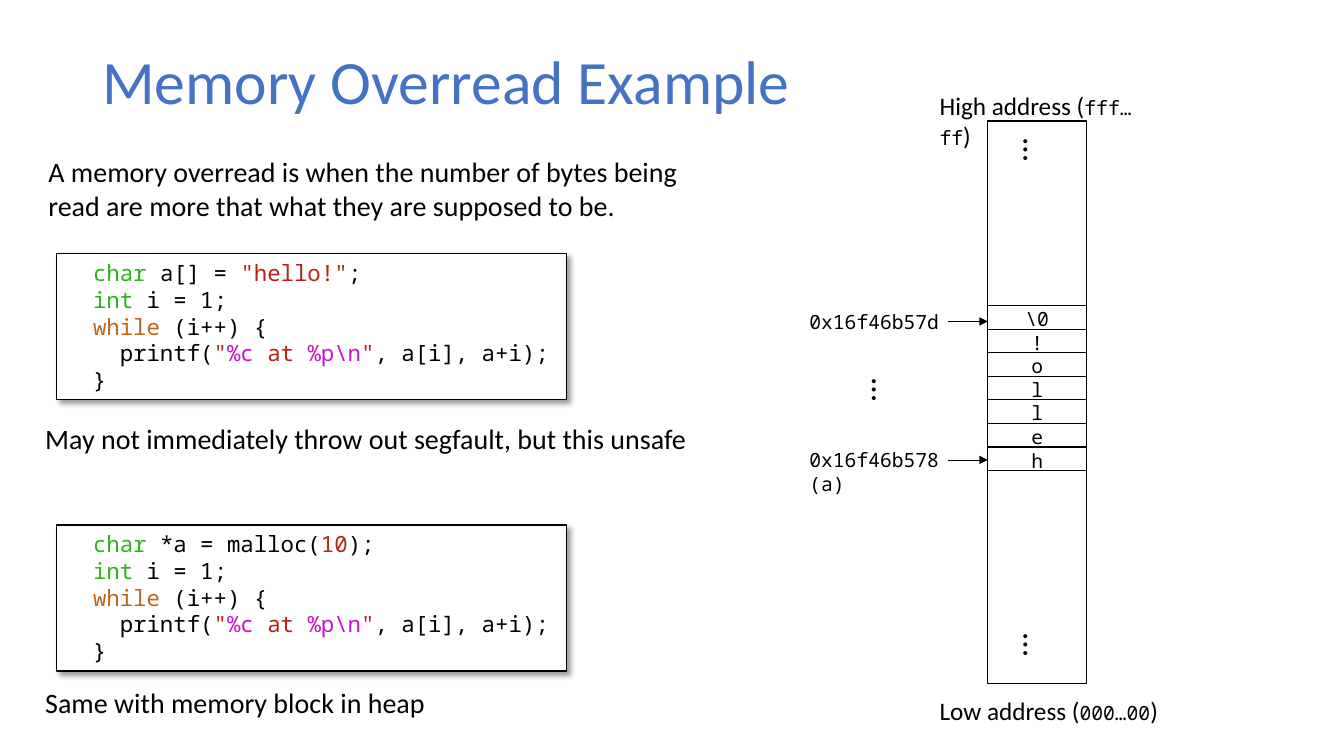
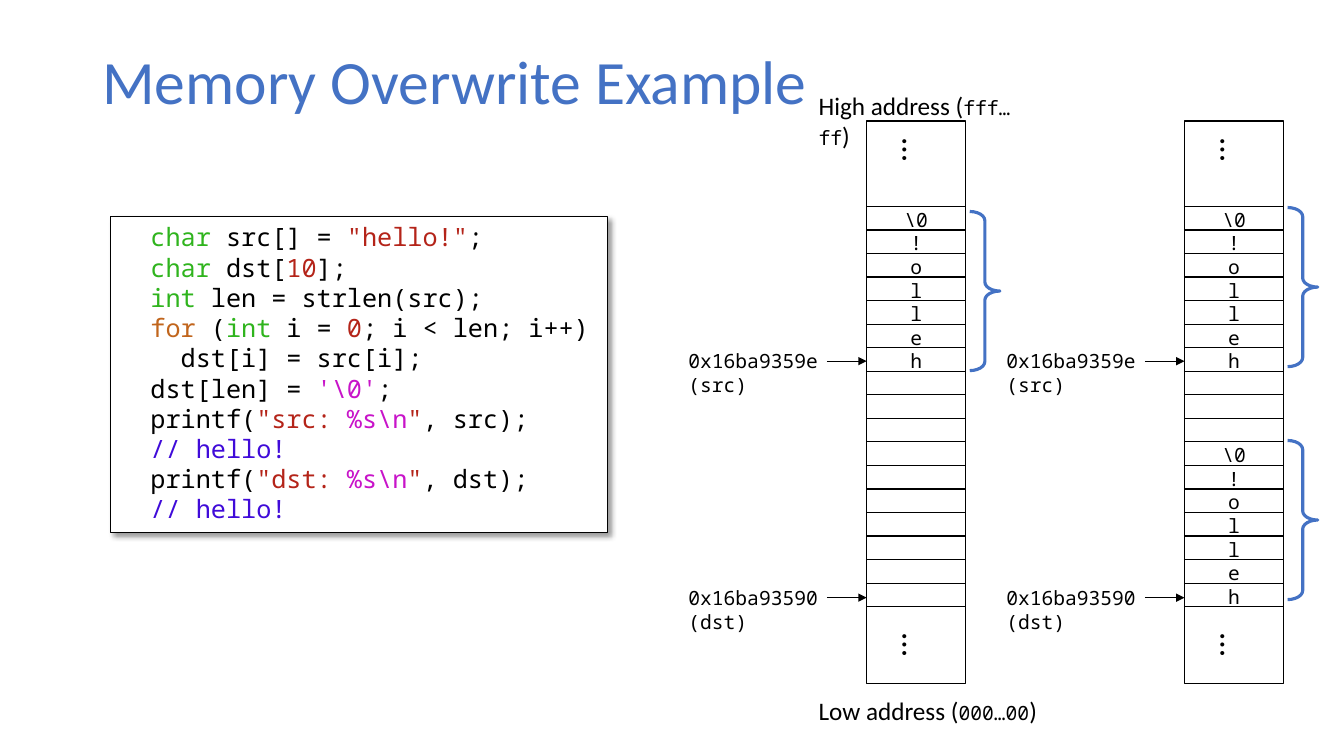
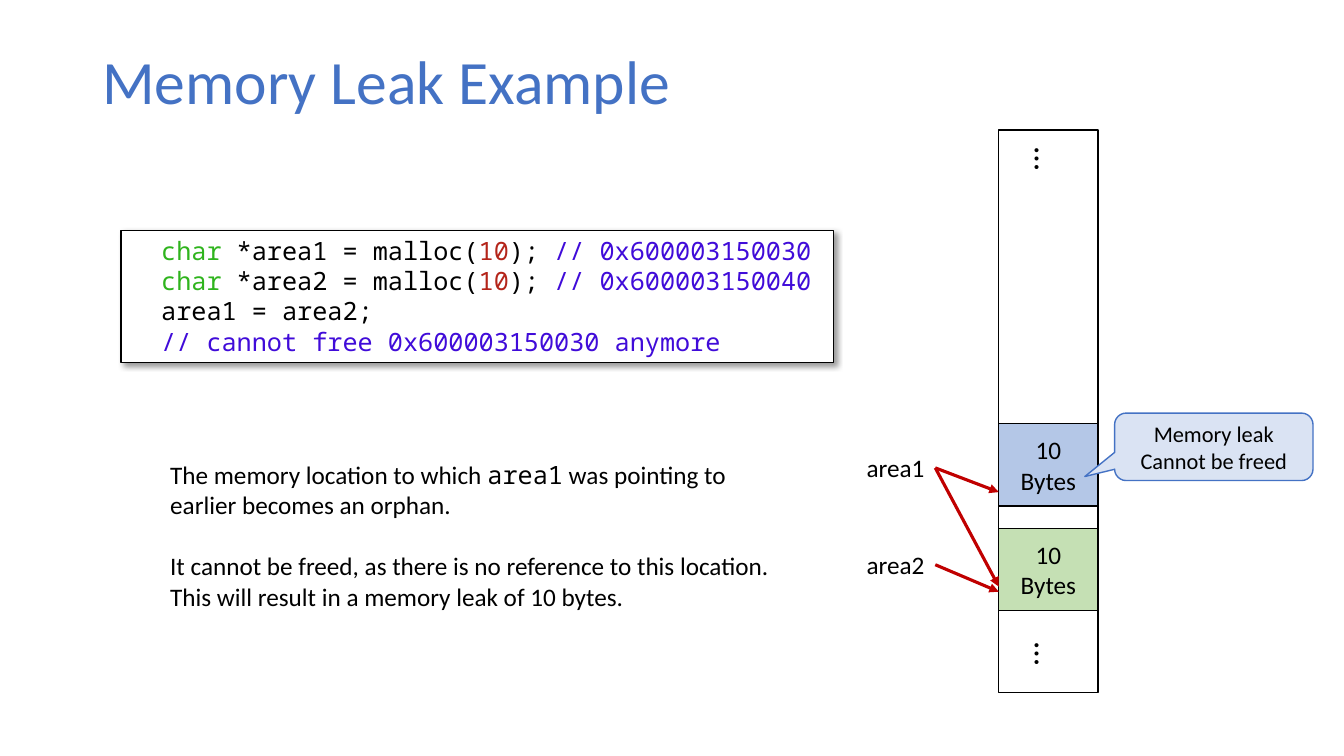
from lxml.etree import SubElement
from pptx import Presentation
from pptx.dml.color import RGBColor
from pptx.enum.shapes import MSO_CONNECTOR, MSO_SHAPE
from pptx.enum.text import MSO_ANCHOR, MSO_AUTO_SIZE, PP_ALIGN
from pptx.oxml.ns import qn
from pptx.util import Cm, Pt

COLORS = {
    "black": "000000", "white": "FFFFFF", "accent": "4472C4",
    "type": "2FB41D", "literal": "B42419", "keyword": "C1651C",
    "escape": "C814C9", "comment": "400BD9", "arrow": "C00000",
    "lost": "B4C7E7", "kept": "C5E0B4", "callout": "DAE3F3",
}
SANS, MONO = "Calibri", "Noto Sans Mono"
CENTER = PP_ALIGN.CENTER

COLUMN_W, COLUMN_H = 2.5, 14.17
ROW_H = 0.59
HELLO = ["\\0", "!", "o", "l", "l", "e", "h"]


def rgb(name):
    return RGBColor.from_string(COLORS[name])


def box_cm(box):
    return [Cm(v) for v in box]


def token(color):
    return lambda text: (text, {"color": color})


TYPE, LIT, KEY, ESC, NOTE = map(
    token, ("type", "literal", "keyword", "escape", "comment"))

LOOP = [
    ["  ", TYPE("int "), "i = 1;"],
    ["  ", KEY("while"), " (i++) {"],
    ["    printf(", LIT('"'), ESC("%c"), LIT(" at "), ESC("%p\\n"), LIT('"'),
     ", a[i], a+i);"],
    ["  }"],
]


def print_lines(name):
    return [
        ["  printf(", LIT(f'"{name}: '), ESC("%s\\n"), LIT('"'), f", {name});"],
        ["  ", NOTE("// hello!")],
    ]


OVERREAD_ARRAY = [
    ["  ", TYPE("char"), " a[] = ", LIT('"hello!"'), ";"], *LOOP]
OVERREAD_HEAP = [
    ["  ", TYPE("char"), " *a = malloc(", LIT("10"), ");"], *LOOP]
OVERWRITE = [
    ["  ", TYPE("char "), "src[] = ", LIT('"hello!"'), ";"],
    ["  ", TYPE("char "), "dst[", LIT("10"), "];"],
    ["  ", TYPE("int "), "len = strlen(src);"],
    ["  ", KEY("for"), " (", TYPE("int "), "i = ", LIT("0"), "; i < len; i++)"],
    ["    dst[i] = src[i];"],
    ["  dst[len] = ", ESC("'\\0'"), ";"],
    *print_lines("src"),
    *print_lines("dst"),
]
LEAK = [
    *(["  ", TYPE("char"), f" *{name} = malloc(", LIT("10"), "); ",
       NOTE(f"// {address}")]
      for name, address in (("area1", "0x600003150030"),
                            ("area2", "0x600003150040"))),
    ["  area1 = area2;"],
    ["  ", NOTE("// cannot free 0x600003150030 anymore")],
]


def write(tf, paras, size, font=SANS, align=None, gap=0):
    """Fill tf; a run is a string or a (string, overrides) pair."""
    for i, runs in enumerate(paras):
        p = tf.paragraphs[0] if i == 0 else tf.add_paragraph()
        p.alignment = align
        if i and gap:
            p.space_before = Pt(gap)
        for run in runs:
            text, style = (run, {}) if isinstance(run, str) else run
            r = p.add_run()
            r.text = text
            r.font.size = Pt(style.get("size", size))
            r.font.name = style.get("font", font)
            r.font.color.rgb = rgb(style.get("color", "black"))


def add_text(shapes, box, paras, size, wrap=False, **style):
    sp = shapes.add_textbox(*box_cm(box))
    tf = sp.text_frame
    tf.word_wrap = wrap
    tf.auto_size = MSO_AUTO_SIZE.SHAPE_TO_FIT_TEXT
    write(tf, paras, size, **style)
    return sp


def add_block(shapes, kind, box, fill=None, line="black", width=1):
    sp = shapes.add_shape(kind, *box_cm(box))
    sp.shadow.inherit = False
    if fill:
        sp.fill.solid()
        sp.fill.fore_color.rgb = rgb(fill)
    else:
        sp.fill.background()
    sp.line.color.rgb = rgb(line)
    sp.line.width = Pt(width)
    sp.text_frame.vertical_anchor = MSO_ANCHOR.MIDDLE
    return sp


def add_arrow(shapes, start, end, color="black", width=0.5):
    cxn = shapes.add_connector(MSO_CONNECTOR.STRAIGHT, *box_cm(start + end))
    cxn.line.color.rgb = rgb(color)
    cxn.line.width = Pt(width)
    SubElement(cxn.line._get_or_add_ln(), qn("a:tailEnd"), type="triangle")
    SubElement(cxn._element.spPr, qn("a:effectLst"))
    return cxn


def add_title_slide(prs, title):
    slide = prs.slides.add_slide(prs.slide_layouts[6])
    sp = slide.shapes.add_textbox(*box_cm((2.33, 1.02, 29.21, 2.21)))
    tf = sp.text_frame
    tf.word_wrap = True
    tf.vertical_anchor = MSO_ANCHOR.MIDDLE
    write(tf, [[(title, {"color": "accent"})]], 44)
    tf.paragraphs[0].line_spacing = 0.9
    return slide.shapes


def add_code(shapes, box, lines, size):
    sp = add_text(shapes, box, lines, size, font=MONO)
    sp.fill.solid()
    sp.fill.fore_color.rgb = rgb("white")
    sp.line.color.rgb = rgb("black")
    sp.line.width = Pt(0.75)
    effects = SubElement(sp._element.spPr, qn("a:effectLst"))
    shadow = SubElement(effects, qn("a:outerShdw"), blurRad=str(Pt(4)),
                        dist=str(Pt(3)), dir="2700000", algn="tl",
                        rotWithShape="0")
    color = SubElement(shadow, qn("a:srgbClr"), val=COLORS["black"])
    SubElement(color, qn("a:alpha"), val="40000")


def add_dots(shapes, x, y):
    sp = add_text(shapes, (x, y, 1.85, 1.27), [["…"]], 24, align=CENTER)
    sp.rotation = 90


def add_column(shapes, x, y):
    """Draw a memory column with dots at both ends."""
    group = shapes.add_group_shape().shapes
    add_block(group, MSO_SHAPE.RECTANGLE, (x, y, COLUMN_W, COLUMN_H), "white")
    for dy in (12.57, 0.1):
        add_dots(group, x + 0.32, y + dy)


def add_ends(shapes, x, y):
    """Caption the high and low ends of the column at x, y."""
    for dy, name, digits in ((14.35, "Low", "000…00"), (-0.91, "High", "fff…ff")):
        runs = [f"{name} address (", (digits, {"font": MONO, "size": 14}), ")"]
        add_text(shapes, (x - 1.46, y + dy, 6.1, 1.02), [runs], 18)


def add_bytes(shapes, x, y, values):
    """Draw one table row per byte; an empty string is an unused byte."""
    frame = shapes.add_table(len(values), 1, *box_cm(
        (x, y, COLUMN_W, ROW_H * len(values))))
    table = frame.table
    table.first_row = table.horz_banding = False
    for row, value in zip(table.rows, values):
        row.height = Cm(ROW_H)
        cell = row.cells[0]
        cell.margin_left = cell.margin_right = 0
        cell.margin_top = cell.margin_bottom = 0
        cell.vertical_anchor = MSO_ANCHOR.MIDDLE
        tc_pr = cell._tc.get_or_add_tcPr()
        for side in ("lnL", "lnR", "lnT", "lnB"):
            ln = SubElement(tc_pr, qn(f"a:{side}"), w=str(Pt(1)))
            fill = SubElement(ln, qn("a:solidFill"))
            SubElement(fill, qn("a:srgbClr"), val=COLORS["black"])
        cell.fill.solid()
        cell.fill.fore_color.rgb = rgb("white")
        if value:
            write(cell.text_frame, [[value]], 14, font=MONO, align=CENTER)
        else:
            p = cell.text_frame.paragraphs[0]
            end = SubElement(p._p, qn("a:endParaRPr"), sz="1400")
            SubElement(end, qn("a:latin"), typeface=MONO)


def add_address(shapes, x, y, *lines):
    """Point an address label at height y of the column at x."""
    height = 0.86 if len(lines) == 1 else 1.45
    add_text(shapes, (x - 4.74, y - 0.42, 3.78, height),
             [[line] for line in lines], 14, font=MONO)
    add_arrow(shapes, (x - 1, y), (x, y))


def add_brace(shapes, x, y):
    sp = add_block(shapes, MSO_SHAPE.RIGHT_BRACE,
                   (x + COLUMN_W + 0.1, y, 0.76, 4.01), line="accent", width=2.25)
    sp.adjustments[0] = 0.3


def overread_slide(prs):
    shapes = add_title_slide(prs, "Memory Overread Example")
    x, y = 24.89, 3.05
    add_column(shapes, x, y)
    add_bytes(shapes, x, 7.7, HELLO)
    add_address(shapes, x, 11.59, "0x16f46b578", "(a)")
    add_address(shapes, x, 8.1, "0x16f46b57d")
    add_ends(shapes, x, y)
    add_dots(shapes, 21.39, 9.19)
    add_code(shapes, (1.42, 6.4, 12.85, 3.68), OVERREAD_ARRAY, 16)
    add_code(shapes, (1.42, 13.23, 12.85, 3.68), OVERREAD_HEAP, 16)
    add_text(shapes, (0.97, 3.78, 16.66, 1.96),
             [["A memory overread is when the number of bytes being read are "
               "more that what they are supposed to be."]], 20, wrap=True)
    add_text(shapes, (0.89, 10.49, 16.81, 1.12),
             [["May not immediately throw out segfault, but this unsafe"]], 20)
    add_text(shapes, (0.89, 17.15, 10.16, 1.12),
             [["Same with memory block in heap"]], 20)


def overwrite_slide(prs):
    shapes = add_title_slide(prs, "Memory Overwrite Example")
    add_code(shapes, (2.78, 5.46, 12.52, 7.95), OVERWRITE, 18)
    before, after, y = 21.84, 29.85, 3.05
    for x, dst in ((before, [""] * 10), (after, [""] * 3 + HELLO)):
        add_column(shapes, x, y)
        add_bytes(shapes, x, 9.35, dst)
        add_bytes(shapes, x, 5.2, HELLO)
        add_address(shapes, x, 9.1, "0x16ba9359e", "(src)")
        add_address(shapes, x, 15.06, "0x16ba93590", "(dst)")
    add_ends(shapes, before, y)
    for x, top in ((before, 5.33), (after, 5.23), (after, 11.1)):
        add_brace(shapes, x, top)


def leak_slide(prs):
    shapes = add_title_slide(prs, "Memory Leak Example")
    add_code(shapes, (3.05, 5.8, 17.95, 3.33), LEAK, 18)
    add_text(shapes, (4.04, 11.45, 15.7, 4.11), [
        ["The memory location to which ", ("area1", {"font": MONO}),
         " was pointing to earlier becomes an orphan."],
        ["It cannot be freed, as there is no reference to this location. "
         "This will result in a memory leak of 10 bytes."],
    ], 18, wrap=True, gap=22)

    x = 25.17
    add_column(shapes, x, 3.28)
    for top, fill in ((10.68, "lost"), (13.32, "kept")):
        sp = add_block(shapes, MSO_SHAPE.RECTANGLE, (x, top, COLUMN_W, 2.07), fill)
        sp.text_frame.word_wrap = True
        write(sp.text_frame, [["10 Bytes"]], 18, align=CENTER)
    for name, top, targets in (("area1", 11.28, (12.4, 14.78)),
                               ("area2", 13.72, (14.91,))):
        label = add_text(shapes, (21.59, top, 1.98, 1.02), [[name]], 18)
        for target in targets:
            cxn = add_arrow(shapes, (23.57, top + 0.51), (x, target), "arrow", 2.25)
            cxn.begin_connect(label, 3)

    callout = add_block(shapes, MSO_SHAPE.ROUNDED_RECTANGULAR_CALLOUT,
                        (28.09, 10.41, 5, 1.7), "callout", "accent")
    for i, value in enumerate((-0.65, 0.44, 0.17)):
        callout.adjustments[i] = value
    write(callout.text_frame, [["Memory leak"], ["Cannot be freed"]], 16,
          align=CENTER)


def main():
    prs = Presentation()
    prs.slide_width, prs.slide_height = Cm(33.87), Cm(19.05)
    overread_slide(prs)
    overwrite_slide(prs)
    leak_slide(prs)
    prs.save("out.pptx")


if __name__ == "__main__":
    main()
